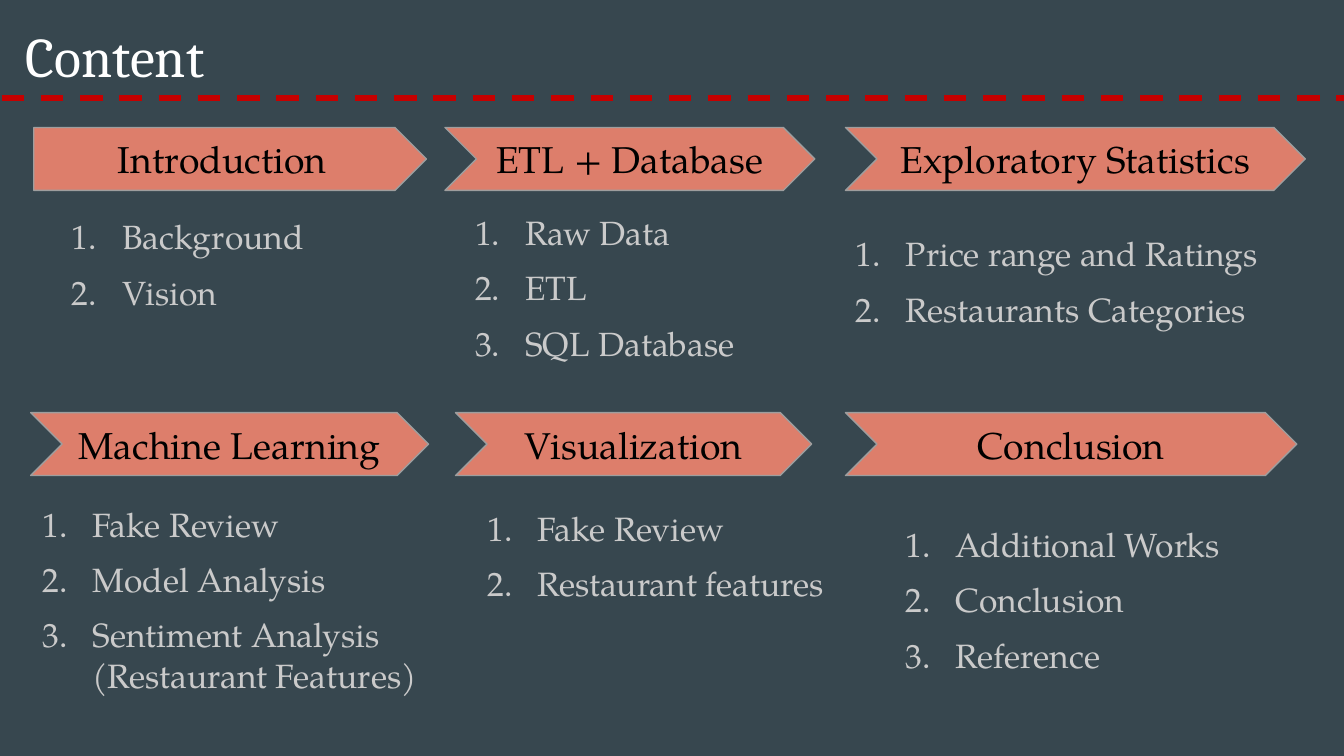
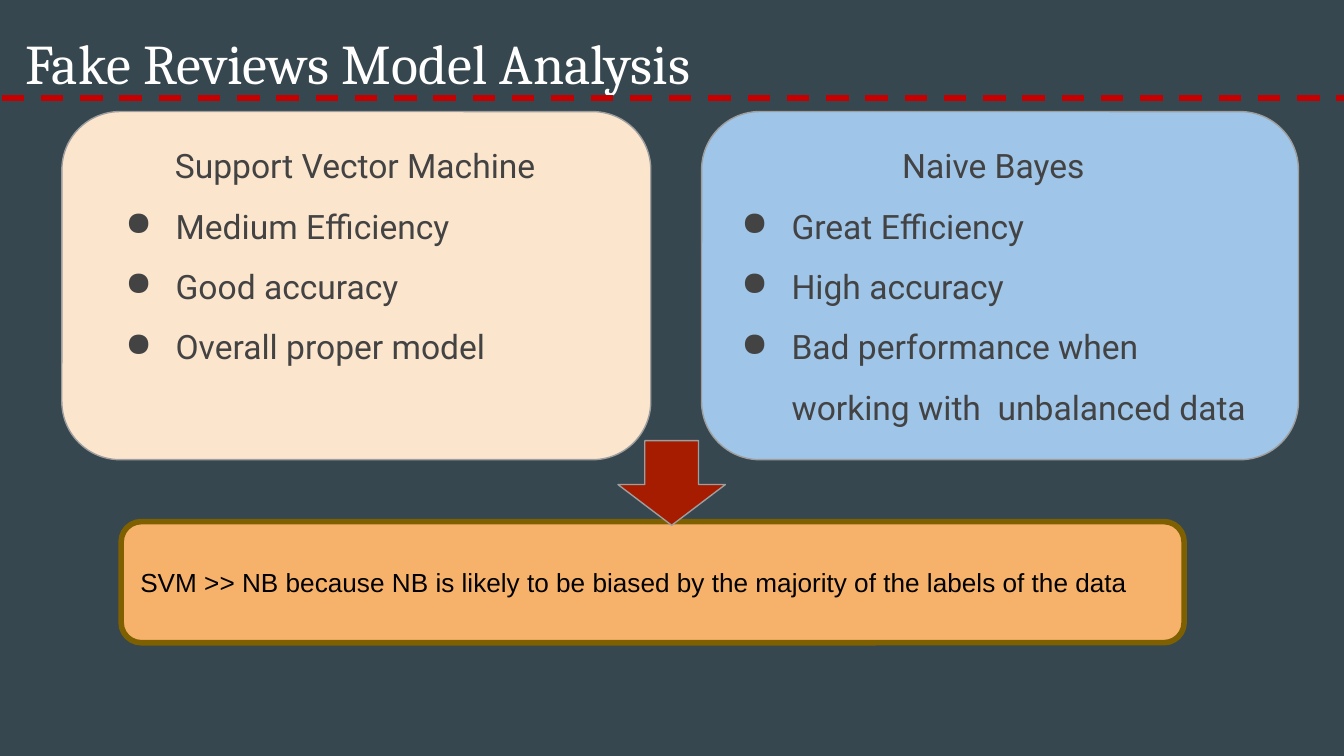
from dataclasses import dataclass

from lxml import etree
from pptx import Presentation
from pptx import util as u
from pptx.dml.color import RGBColor
from pptx.enum import dml, shapes, text
from pptx.oxml import ns

# Palette
SLATE = RGBColor(0x37, 0x47, 0x4F)
RED = RGBColor(0xC6, 0x00, 0x00)
WHITE = RGBColor(0xFF, 0xFF, 0xFF)
BLACK = RGBColor(0x00, 0x00, 0x00)
CORAL = RGBColor(0xDD, 0x7E, 0x6B)
OUTLINE = RGBColor(0x9E, 0x9E, 0x9E)
SILVER = RGBColor(0xCA, 0xCA, 0xCA)
CHARCOAL = RGBColor(0x43, 0x43, 0x43)
CREAM = RGBColor(0xFC, 0xE5, 0xCD)
SKY = RGBColor(0x9F, 0xC5, 0xE8)
ORANGE = RGBColor(0xF6, 0xB2, 0x6B)
BROWN = RGBColor(0x7F, 0x60, 0x00)
BRICK = RGBColor(0xA6, 0x1C, 0x00)

SHAPE = shapes.MSO_SHAPE
TOP, MIDDLE = text.MSO_ANCHOR.TOP, text.MSO_ANCHOR.MIDDLE
LEFT, CENTER = text.PP_ALIGN.LEFT, text.PP_ALIGN.CENTER
PAD = u.Cm(0.25)
FRAME_FORMAT = {
    "word_wrap": True, "auto_size": text.MSO_AUTO_SIZE.NONE,
    "margin_left": PAD, "margin_right": PAD, "margin_top": PAD, "margin_bottom": PAD,
}
NUMBER = ("buAutoNum", {"type": "arabicPeriod"})
DOT = ("buChar", {"char": "●"})


@dataclass(frozen=True)
class Box:
    """Left, top, width and height in centimetres."""
    left: float
    top: float
    width: float
    height: float

    def lengths(self) -> list:
        return [u.Cm(value) for value in (self.left, self.top, self.width, self.height)]


@dataclass(frozen=True)
class TextStyle:
    name: str
    size: int
    color: RGBColor


@dataclass(frozen=True)
class Topic:
    heading: str
    row: int
    banner_left: float
    banner_width: float
    list_box: Box
    anchor: text.MSO_ANCHOR
    items: tuple
    preset: shapes.MSO_SHAPE = SHAPE.CHEVRON


@dataclass(frozen=True)
class Model:
    heading: str
    card: Box
    fill: RGBColor
    body: Box
    traits: tuple


TITLE = TextStyle("Cambria", 30, WHITE)
BANNER = TextStyle("TeX Gyre Pagella", 20, BLACK)
LISTING = TextStyle("TeX Gyre Pagella", 18, SILVER)
TRAIT = TextStyle("Roboto", 18, CHARCOAL)
VERDICT = TextStyle("Arial", 14, BLACK)

BANNER_TOPS = (2.41, 7.8)
BANNER_HEIGHT = 1.19

TOPICS = (
    Topic("Introduction", 0, 0.64, 7.42, Box(0.79, 3.84, 6.93, 2.95), TOP,
          ("Background", "Vision"), SHAPE.PENTAGON),
    Topic("ETL + Database", 0, 8.41, 6.99, Box(8.41, 3.96, 7.14, 2.95), MIDDLE,
          ("Raw Data", "ETL", "SQL Database")),
    Topic("Exploratory Statistics", 0, 15.98, 8.69, Box(15.6, 3.84, 9.3, 2.95), MIDDLE,
          ("Price range and Ratings", "Restaurants Categories")),
    Topic("Machine Learning", 1, 0.58, 7.52, Box(0.23, 9.35, 8.03, 3.96), MIDDLE,
          ("Fake Review", "Model Analysis", "Sentiment Analysis (Restaurant Features)")),
    Topic("Visualization", 1, 8.61, 6.73, Box(8.64, 9.35, 7.34, 3.96), TOP,
          ("Fake Review", "Restaurant features")),
    Topic("Conclusion", 1, 15.98, 8.53, Box(16.54, 9.35, 7.42, 3.96), MIDDLE,
          ("Additional Works", "Conclusion", "Reference")),
)

MODELS = (
    Model("Naive Bayes", Box(13.26, 2.11, 11.28, 6.58), SKY, Box(13.44, 2.11, 10.67, 6.02),
          ("Great Efficiency", "High accuracy",
           "Bad performance when working with  unbalanced data")),
    Model("Support Vector Machine", Box(1.17, 2.11, 11.13, 6.58), CREAM,
          Box(1.8, 2.11, 9.83, 6.2),
          ("Medium Efficiency", "Good accuracy", "Overall proper model")),
)


# Text helpers
def set_frame(shape, anchor) -> None:
    for name, value in FRAME_FORMAT.items():
        setattr(shape.text_frame, name, value)
    shape.text_frame.vertical_anchor = anchor


def add_bullet(paragraph, bullet: tuple, color: RGBColor) -> None:
    tag, attributes = bullet
    properties = paragraph._p.get_or_add_pPr()
    properties.set("marL", str(u.Cm(1.27)))
    properties.set("indent", str(u.Cm(-0.95)))
    bullet_color = etree.SubElement(properties, ns.qn("a:buClr"))
    etree.SubElement(bullet_color, ns.qn("a:srgbClr"), val=str(color))
    etree.SubElement(properties, ns.qn(f"a:{tag}"), attributes)


def write(shape, lines: tuple, style: TextStyle, bullet=None, **paragraph_format) -> None:
    """Write lines into a shape, starting with its empty first paragraph."""
    frame = shape.text_frame
    for line in lines:
        paragraph = frame.paragraphs[0] if not frame.text else frame.add_paragraph()
        if bullet:
            add_bullet(paragraph, bullet, style.color)
        for name, value in paragraph_format.items():
            setattr(paragraph, name, value)
        run = paragraph.add_run()
        run.text = line
        run.font.color.rgb = style.color
        for name, value in {"name": style.name, "size": u.Pt(style.size)}.items():
            setattr(run.font, name, value)


# Shape helpers
def add_text_box(slide, box: Box, anchor):
    shape = slide.shapes.add_textbox(*box.lengths())
    set_frame(shape, anchor)
    return shape


def add_block(slide, preset, box: Box, fill: RGBColor, adjustments: tuple,
              line: RGBColor = OUTLINE, line_width: float = 0.75):
    shape = slide.shapes.add_shape(preset, *box.lengths())
    shape.shadow.inherit = False
    shape.fill.solid()
    shape.fill.fore_color.rgb = fill
    shape.line.color.rgb = line
    shape.line.width = u.Pt(line_width)
    for index, value in enumerate(adjustments):
        shape.adjustments[index] = value
    set_frame(shape, MIDDLE)
    return shape


def add_titled_slide(presentation, title: str, box: Box):
    """Add a slide with its title and the dashed rule below it."""
    slide = presentation.slides.add_slide(presentation.slide_layouts[5])
    shape = slide.shapes.title
    for name, value in zip(("left", "top", "width", "height"), box.lengths()):
        setattr(shape, name, value)
    set_frame(shape, TOP)
    write(shape, (title,), TITLE, alignment=LEFT)

    rule = slide.shapes.add_connector(
        shapes.MSO_CONNECTOR.STRAIGHT, u.Cm(0.03), u.Cm(1.85), u.Cm(25.43), u.Cm(1.85))
    rule.line.color.rgb = RED
    rule.line.width = u.Pt(3)
    rule.line.dash_style = dml.MSO_LINE.DASH
    etree.SubElement(rule._element.spPr, ns.qn("a:effectLst"))
    return slide


# Slides
def build_content(presentation) -> None:
    slide = add_titled_slide(presentation, "Content", Box(0.23, 0.15, 4.39, 1.6))
    for topic in TOPICS:
        box = Box(topic.banner_left, BANNER_TOPS[topic.row], topic.banner_width, BANNER_HEIGHT)
        banner = add_block(slide, topic.preset, box, CORAL, (0.5,))
        write(banner, (topic.heading,), BANNER, alignment=CENTER)
        listing = add_text_box(slide, topic.list_box, topic.anchor)
        write(listing, topic.items, LISTING, NUMBER, space_after=u.Pt(8))


def build_model_analysis(presentation) -> None:
    slide = add_titled_slide(presentation, "Fake Reviews Model Analysis",
                             Box(0.23, 0.28, 19.08, 1.6))
    for model in MODELS:
        add_block(slide, SHAPE.ROUNDED_RECTANGLE, model.card, model.fill, (0.167,))
        body = add_text_box(slide, model.body, TOP)
        write(body, (model.heading,), TRAIT, alignment=CENTER, line_spacing=1.5)
        write(body, model.traits, TRAIT, DOT, line_spacing=1.5)

    # Verdict and the arrow leading to it
    verdict = add_block(slide, SHAPE.ROUNDED_RECTANGLE, Box(2.29, 9.86, 20.09, 2.29),
                        ORANGE, (0.167,), BROWN, 3)
    write(verdict, ("SVM >> NB because NB is likely to be biased by the majority "
                    "of the labels of the data",), VERDICT, alignment=LEFT)
    add_block(slide, SHAPE.DOWN_ARROW, Box(11.68, 8.33, 2.03, 1.6), BRICK, (0.5, 0.481))


def main() -> None:
    presentation = Presentation()
    presentation.slide_width = u.Cm(25.4)
    presentation.slide_height = u.Cm(14.29)
    background = presentation.slide_master.background.fill
    background.solid()
    background.fore_color.rgb = SLATE
    build_content(presentation)
    build_model_analysis(presentation)
    presentation.save("out.pptx")


if __name__ == "__main__":
    main()
